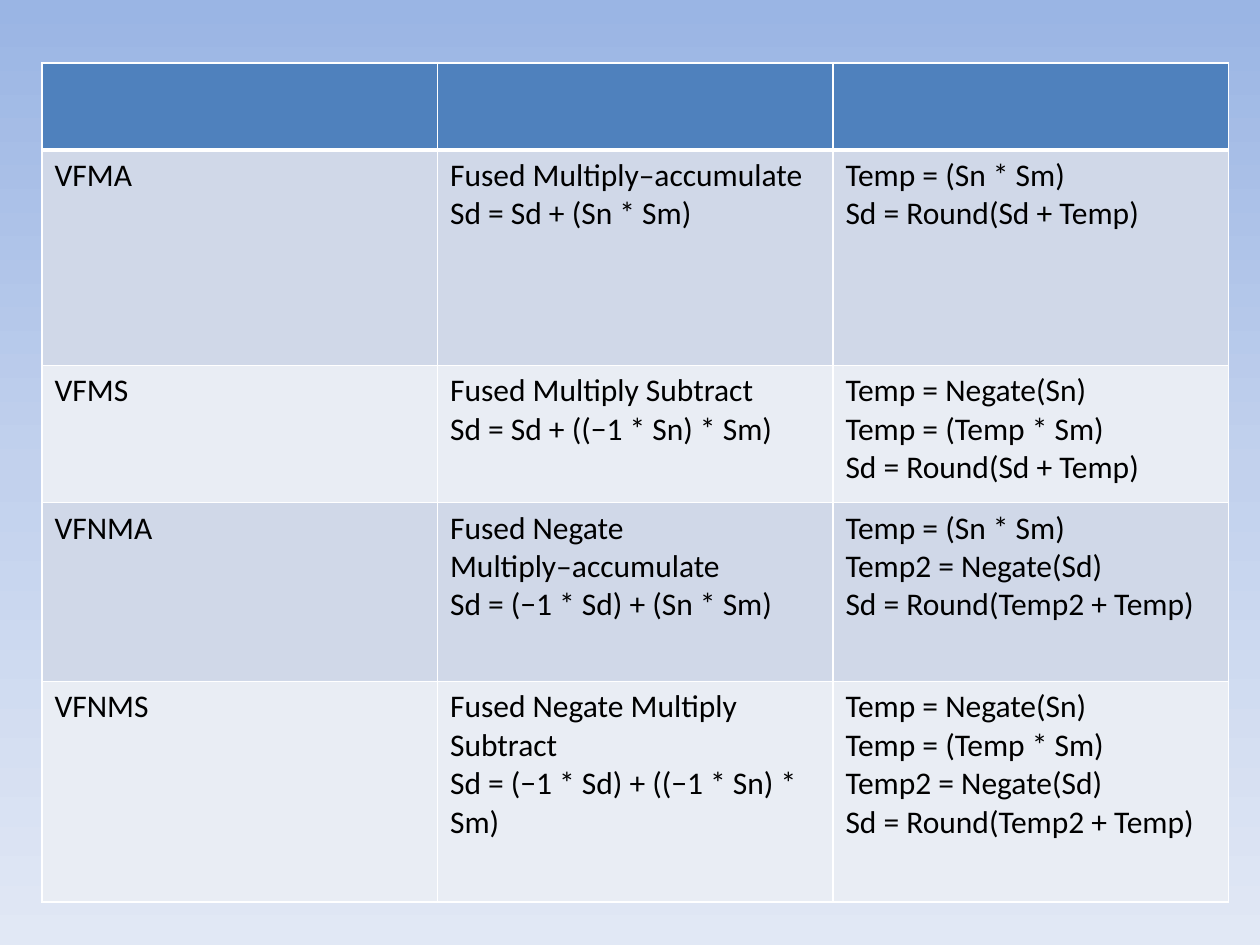
from copy import deepcopy
from dataclasses import dataclass

from lxml.etree import SubElement
from pptx import Presentation
from pptx.dml.color import RGBColor as Color
from pptx.oxml.ns import qn
from pptx.slide import Slide
from pptx.table import _Cell as Cell
from pptx.util import Pt


@dataclass(frozen=True)
class Theme:
    font: str = "Calibri"
    text_size: float = 18
    text: str = "000000"
    header: str = "4F81BD"
    bands: tuple[str, str] = ("D0D8E8", "E9EDF4")
    border: str = "FFFFFF"
    thin: float = 1
    thick: float = 3
    backdrop: tuple[str, str, str] = ("9AB5E4", "C2D1ED", "E1E8F5")


@dataclass(frozen=True)
class Instruction:
    mnemonic: str
    meaning: tuple[str, ...]
    steps: tuple[str, ...]
    height: float


THEME = Theme()
LEFT, TOP, COLUMN_WIDTH, HEADER_HEIGHT = 24, 36, 226, 49.7

INSTRUCTIONS = (
    Instruction(
        "VFMA",
        ("Fused Multiply–accumulate", "Sd = Sd + (Sn * Sm)"),
        ("Temp = (Sn * Sm)", "Sd = Round(Sd + Temp)"),
        123.1,
    ),
    Instruction(
        "VFMS",
        ("Fused Multiply Subtract", "Sd = Sd + ((−1 * Sn) * Sm)"),
        ("Temp = Negate(Sn)", "Temp = (Temp * Sm)", "Sd = Round(Sd + Temp)"),
        78.5,
    ),
    Instruction(
        "VFNMA",
        ("Fused Negate", "Multiply–accumulate", "Sd = (−1 * Sd) + (Sn * Sm)"),
        ("Temp = (Sn * Sm)", "Temp2 = Negate(Sd)", "Sd = Round(Temp2 + Temp)"),
        102.2,
    ),
    Instruction(
        "VFNMS",
        ("Fused Negate Multiply Subtract", "Sd = (−1 * Sd) + ((−1 * Sn) * Sm)"),
        (
            "Temp = Negate(Sn)",
            "Temp = (Temp * Sm)",
            "Temp2 = Negate(Sd)",
            "Sd = Round(Temp2 + Temp)",
        ),
        126,
    ),
)


def paint_background(slide: Slide) -> None:
    fill = slide.background.fill
    fill.gradient()
    fill.gradient_angle = 270
    stop_list = next(slide.element.iter(qn("a:gsLst")))
    stop_list.append(deepcopy(stop_list[0]))
    for index, (stop, color) in enumerate(zip(fill.gradient_stops, THEME.backdrop)):
        stop.color.rgb = Color.from_string(color)
        stop.position = index / 2


def style_cell(cell: Cell, fill: str, top: float, bottom: float) -> None:
    properties = cell._tc.get_or_add_tcPr()
    sides = {"L": THEME.thin, "R": THEME.thin, "T": top, "B": bottom}
    for side, width in sides.items():
        line = SubElement(properties, qn(f"a:ln{side}"), w=str(Pt(width)))
        solid = SubElement(line, qn("a:solidFill"))
        SubElement(solid, qn("a:srgbClr"), val=THEME.border)
    cell.fill.solid()
    cell.fill.fore_color.rgb = Color.from_string(fill)


def write_lines(cell: Cell, lines: tuple[str, ...]) -> None:
    frame = cell.text_frame
    for index, line in enumerate(lines):
        para = frame.add_paragraph() if index else frame.paragraphs[0]
        span = para.add_run()
        span.text = line
        span.font.name = THEME.font
        span.font.size = Pt(THEME.text_size)
        span.font.color.rgb = Color.from_string(THEME.text)


def draw_table(slide: Slide) -> None:
    heights = [HEADER_HEIGHT, *(item.height for item in INSTRUCTIONS)]
    table = slide.shapes.add_table(
        len(heights), 3, Pt(LEFT), Pt(TOP), Pt(3 * COLUMN_WIDTH), Pt(sum(heights))
    ).table
    for column in table.columns:
        column.width = Pt(COLUMN_WIDTH)
    for row, height in zip(table.rows, heights):
        row.height = Pt(height)
    for cell in table.rows[0].cells:
        style_cell(cell, THEME.header, THEME.thin, THEME.thick)
    for index, item in enumerate(INSTRUCTIONS):
        contents = ((item.mnemonic,), item.meaning, item.steps)
        top = THEME.thin if index else THEME.thick
        for cell, lines in zip(table.rows[index + 1].cells, contents):
            style_cell(cell, THEME.bands[index % 2], top, THEME.thin)
            write_lines(cell, lines)


def main() -> None:
    deck = Presentation()
    deck.slide_width, deck.slide_height = Pt(720), Pt(540)
    page = deck.slides.add_slide(deck.slide_layouts[6])
    paint_background(page)
    draw_table(page)
    deck.save("out.pptx")


if __name__ == "__main__":
    main()
